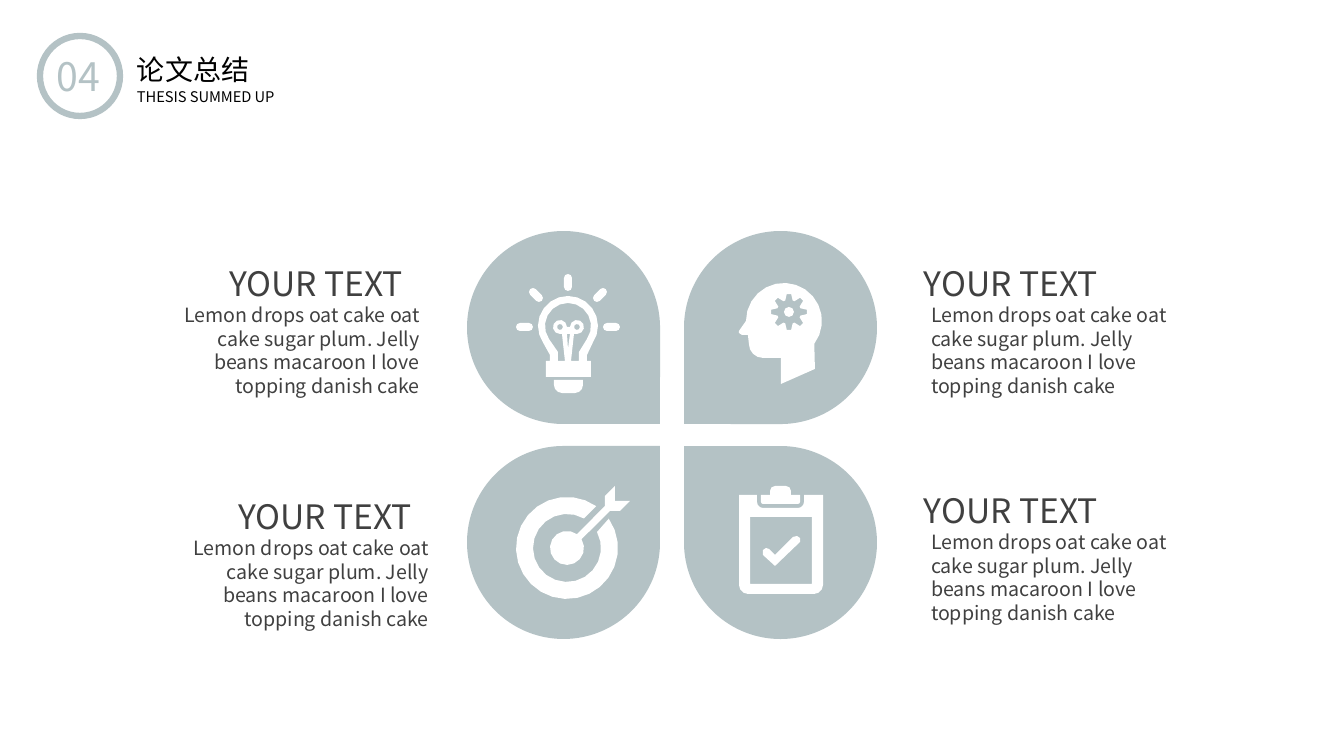
import math

import pptx
import pptx.dml.color
import pptx.enum.shapes
import pptx.enum.text
import pptx.util

PX = 12192000 / 1344
FONT = "Noto Sans CJK SC"
SAGE = pptx.dml.color.RGBColor(0xB4, 0xC2, 0xC5)
WHITE = pptx.dml.color.RGBColor(0xFF, 0xFF, 0xFF)
BLACK = pptx.dml.color.RGBColor(0x00, 0x00, 0x00)
GRAY = pptx.dml.color.RGBColor(0x40, 0x40, 0x40)
LEFT = pptx.enum.text.PP_ALIGN.LEFT
RIGHT = pptx.enum.text.PP_ALIGN.RIGHT
SHAPES = pptx.enum.shapes.MSO_SHAPE

NUMBER = "04"
TITLE = "论文总结"
SUBTITLE = "THESIS SUMMED UP"
HEADING = "YOUR TEXT"
BODY = ("Lemon drops oat cake oat cake sugar plum. Jelly beans macaroon "
        "I love topping danish cake")

# Body left, heading top, heading shift from the body, alignment
TEXT_BLOCKS = [
    (172, 258, 16, RIGHT),
    (181, 491, 16, RIGHT),
    (931, 258, -17, LEFT),
    (931, 485, -17, LEFT),
]
# Left, top, rotation that turns the tip towards the centre
PETALS = [(467, 231, 90), (684, 231, 180), (467, 446, 0), (684, 446, 270)]
PETAL_SIZE = 193
ARC_ERROR = 0.4


def polar(x, y, radius, degrees):
    angle = math.radians(degrees)
    return x + radius * math.cos(angle), y + radius * math.sin(angle)


def arc(x, y, radius, start=0, end=360):
    """Points along a circle, clockwise from the right, within ARC_ERROR px."""
    step = 2 * math.degrees(math.acos(1 - ARC_ERROR / radius))
    count = math.ceil(abs(end - start) / step)
    return [polar(x, y, radius, start + (end - start) * i / count)
            for i in range(count + 1)]


def capsule(x1, y1, x2, y2, radius=4):
    """A thick line with round ends."""
    angle = math.degrees(math.atan2(y2 - y1, x2 - x1))
    return (arc(x1, y1, radius, angle + 90, angle + 270)
            + arc(x2, y2, radius, angle - 90, angle + 90))


def gear(x, y, inner, outer, teeth):
    profile = ((-18, inner), (-7, outer), (7, outer), (18, inner))
    return [polar(x, y, radius, tooth * 360 / teeth + offset)
            for tooth in range(teeth) for offset, radius in profile]


# Each icon is a list of outlines; an outline inside another cuts a hole
BULB_X, BULB_Y = 568, 326
BULB = [
    arc(BULB_X, BULB_Y, 30, 145, 395)
    + [(587, 355), (587, 361), (591, 361), (591, 377),
       (546, 377), (546, 361), (550, 361), (550, 355)],
    arc(BULB_X, BULB_Y, 23, 145, 395)
    + [(579, 352), (579, 361), (558, 361), (558, 352)],
    [(565, 361), (562, 334)] + arc(560, 327, 7, 90, 360)
    + arc(577, 327, 7, 180, 450) + [(574, 334), (571, 361)],
    arc(560, 327, 3),
    arc(577, 327, 3),
    [(567, 334), (570, 334), (568, 349)],
    [(554, 380), (583, 380)] + arc(575, 385, 8, 0, 90) + arc(562, 385, 8, 90, 180),
    capsule(BULB_X, 278, BULB_X, 287),
]
for side in (-1, 1):
    BULB += [capsule(BULB_X + side * 48, 327, BULB_X + side * 39, 327),
             capsule(BULB_X + side * 35, 292, BULB_X + side * 29, 298)]

HEAD = [
    arc(784, 321, 38, 180, 397)
    + [(815, 369), (781, 384), (781, 358)] + arc(763, 344, 14, 90, 180)
    + [(748, 335), (742, 335), (739, 333), (739, 331)],
    gear(789, 312, 12, 18, 8),
    arc(789, 312, 5),
]
TARGET = [
    arc(567, 548, 34, 332, 660) + arc(567, 548, 51, 665, 325),
    arc(567, 548, 17, 329, 666)
    + [(605, 506), (605, 496), (615, 486), (615, 501),
       (630, 501), (620, 511), (610, 511)],
]
CLIPBOARD = [
    [(739, 495), (757, 495)] + arc(763, 502, 6, 180, 90)
    + arc(798, 502, 6, 90, 0) + [(804, 495), (823, 495)]
    + arc(814, 585, 9, 0, 90) + arc(748, 585, 9, 90, 180),
    [(750, 517), (812, 517), (812, 584), (750, 584)],
    [(761, 495), (770, 495)] + arc(775, 491, 5, 180, 270)
    + arc(786, 491, 5, 270, 360) + [(791, 495), (800, 495)]
    + arc(798, 502, 2, 0, 90) + arc(763, 502, 2, 90, 180),
    [(775, 566), (800, 542), (800, 538), (797, 536), (793, 537), (775, 555),
     (769, 549), (766, 548), (763, 550), (763, 555)],
]


def emu(*lengths):
    return [round(length * PX) for length in lengths]


def write(box, text, size, color, align=LEFT, margins=(10, 5)):
    frame = box.text_frame
    across, down = emu(*margins)
    settings = {"word_wrap": True, "margin_left": across, "margin_right": across,
                "margin_top": down, "margin_bottom": down,
                "auto_size": pptx.enum.text.MSO_AUTO_SIZE.NONE,
                "vertical_anchor": pptx.enum.text.MSO_ANCHOR.TOP}
    for name, value in settings.items():
        setattr(frame, name, value)
    para = frame.paragraphs[0]
    para.alignment = align
    span = para.add_run()
    span.text = text
    for name, value in {"name": FONT, "size": pptx.util.Pt(size), "bold": False}.items():
        setattr(span.font, name, value)
    span.font.color.rgb = color


def add_text(page, bounds, *args, **kwargs):
    write(page.shapes.add_textbox(*emu(*bounds)), *args, **kwargs)


def paint(shape, color):
    shape.shadow.inherit = False
    shape.fill.solid()
    shape.fill.fore_color.rgb = color
    shape.line.fill.background()


def add_icon(page, outlines):
    builder = page.shapes.build_freeform(*emu(*outlines[0][0]))
    for index, outline in enumerate(outlines):
        points = [emu(*point) for point in outline]
        if index:
            builder.move_to(*points[0])
        builder.add_line_segments(points[1:], close=True)
    paint(builder.convert_to_shape(), WHITE)


def add_header(page):
    ring = page.shapes.add_shape(SHAPES.OVAL, *emu(40, 36, 80, 80))
    ring.shadow.inherit = False
    ring.fill.background()
    ring.line.color.rgb = SAGE
    ring.line.width = pptx.util.Pt(4.5)
    add_text(page, (47, 47, 67, 57), NUMBER, 28, SAGE)
    title = page.shapes.title
    title.left, title.top, title.width, title.height = emu(127, 47, 386, 44)
    write(title, TITLE, 20, BLACK)
    add_text(page, (127, 83, 167, 28), SUBTITLE, 10.5, BLACK)


def main():
    deck = pptx.Presentation()
    deck.slide_width, deck.slide_height = emu(1344, 756)
    page = deck.slides.add_slide(deck.slide_layouts[5])
    add_header(page)
    for (left, top, turn), icon in zip(PETALS, (BULB, HEAD, TARGET, CLIPBOARD)):
        petal = page.shapes.add_shape(
            SHAPES.TEAR, *emu(left, top, PETAL_SIZE, PETAL_SIZE))
        petal.rotation = turn
        paint(petal, SAGE)
        add_icon(page, icon)
    for left, top, shift, align in TEXT_BLOCKS:
        add_text(page, (left + shift, top, 225, 50), HEADING, 24, GRAY, align)
        add_text(page, (left, top + 45, 248, 108), BODY, 14, GRAY, align, (0, 0))
    deck.save("out.pptx")


if __name__ == "__main__":
    main()
